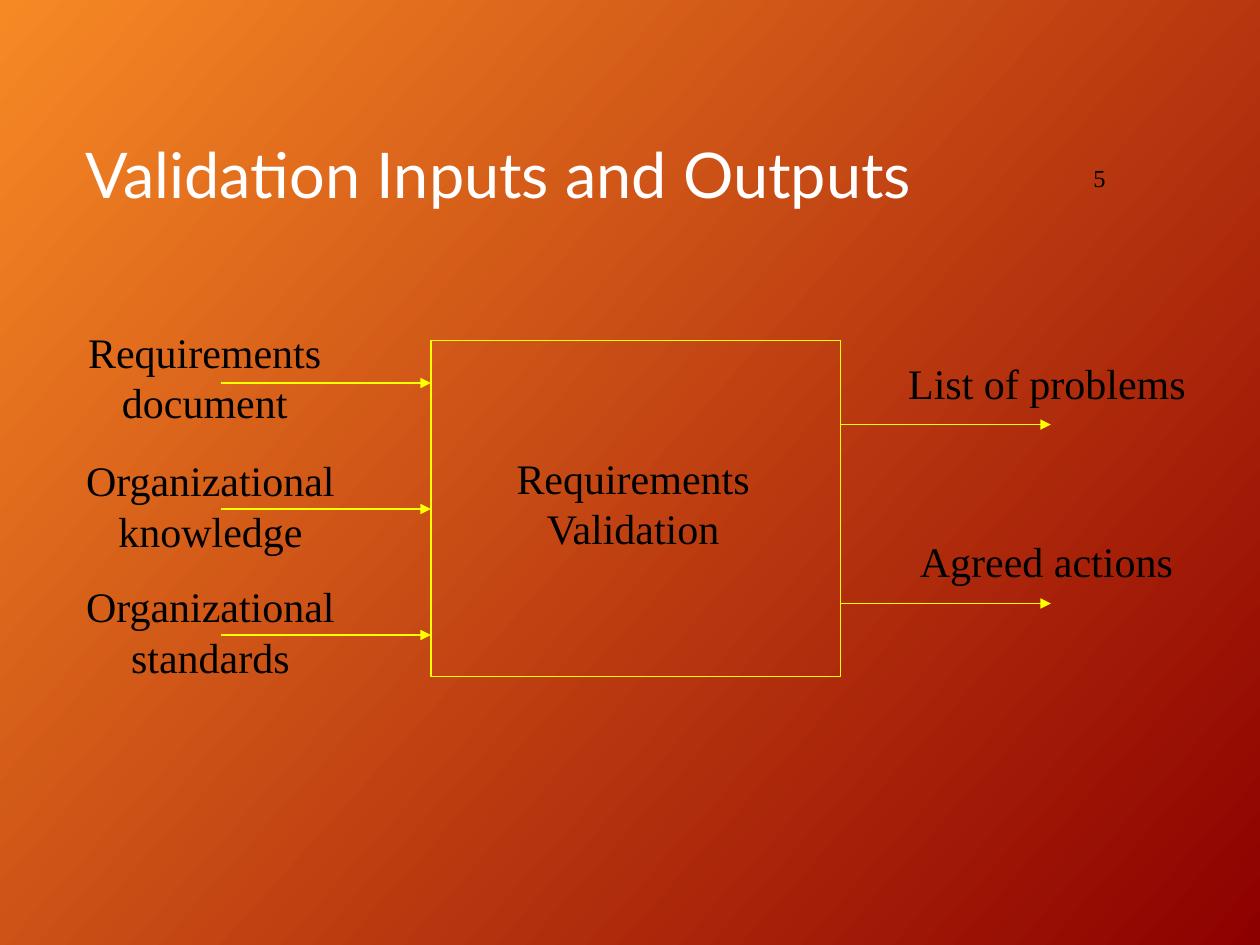
from pptx import Presentation
from pptx import util as u
from pptx.dml.color import RGBColor
from pptx.enum import shapes, text
from pptx.oxml.ns import qn
from lxml import etree

PX = u.Inches(1) // 100
ORANGE = RGBColor(0xF7, 0x89, 0x25)
DARK_RED = RGBColor(0x8D, 0x00, 0x00)
YELLOW = RGBColor(0xFF, 0xFF, 0x00)
WHITE = RGBColor(0xFF, 0xFF, 0xFF)
BLACK = RGBColor(0x00, 0x00, 0x00)
SERIF = "Times New Roman"
SANS = "Lato"
ARROW_LENGTH = 167
LABEL_LINE = 40
LABEL_PADDING = 10

# label, label left, label top relative to its arrow, label width, arrow height in the box
INPUTS = [
    ("Requirements\ndocument", 60, -50, 205, 34),
    ("Organizational\nknowledge", 58, -48, 218, 134),
    ("Organizational\nstandards", 58, -48, 218, 234),
]
OUTPUTS = [
    ("List of problems", 711, -58, 240, 67),
    ("Agreed actions", 720, -59, 221, 209),
]


def add_text(slide, box, content, *, font=SERIF, size=24, color=BLACK,
             align=text.PP_ALIGN.LEFT, anchor=text.MSO_ANCHOR.TOP,
             wrap=True, spacing=None):
    shape = slide.shapes.add_textbox(*(value * PX for value in box))
    frame = shape.text_frame
    frame.word_wrap = wrap
    frame.auto_size = (text.MSO_AUTO_SIZE.NONE if wrap
                       else text.MSO_AUTO_SIZE.SHAPE_TO_FIT_TEXT)
    frame.vertical_anchor = anchor
    frame.text = content
    for paragraph in frame.paragraphs:
        paragraph.alignment = align
        paragraph.line_spacing = spacing
        for run in paragraph.runs:
            run.font.name = font
            run.font.size = u.Pt(size)
            run.font.color.rgb = color


def add_label(slide, left, top, width, content):
    lines = content.count("\n") + 1
    box = (left, top, width, lines * LABEL_LINE + LABEL_PADDING)
    add_text(slide, box, content, align=text.PP_ALIGN.CENTER, wrap=False)


def add_arrow(slide, left, y):
    arrow = slide.shapes.add_connector(
        shapes.MSO_CONNECTOR.STRAIGHT,
        left * PX, y * PX, (left + ARROW_LENGTH) * PX, y * PX)
    arrow.line.color.rgb = YELLOW
    arrow.line.width = u.Pt(0.75)
    properties = arrow.element.spPr
    etree.SubElement(properties.find(qn("a:ln")), qn("a:tailEnd"), type="triangle")
    etree.SubElement(properties, qn("a:effectLst"))


def add_flows(slide, flows, arrow_left, box_top):
    for content, left, rise, width, offset in flows:
        y = box_top + offset
        add_arrow(slide, arrow_left, y)
        add_label(slide, left, y + rise, width, content)


def add_background(slide):
    fill = slide.background.fill
    fill.gradient()
    fill.gradient_angle = 360 - 42
    for stop, color in zip(fill.gradient_stops, (ORANGE, DARK_RED)):
        stop.color.rgb = color


def add_header(slide, left, top, width, height):
    """Title at the left and page number at the right."""
    middle = text.MSO_ANCHOR.MIDDLE
    add_text(slide, (left, top, 754, height), "Validation Inputs and Outputs",
             font=SANS, size=36, color=WHITE, anchor=middle, spacing=0.9)
    number_width = 127
    add_text(slide, (left + width - number_width, top, number_width, height),
             "5", size=14, anchor=middle)


def add_process(slide, left, top, width, height):
    """Process box with the flows that enter and leave it."""
    box = slide.shapes.add_shape(
        shapes.MSO_SHAPE.RECTANGLE, left * PX, top * PX, width * PX, height * PX)
    box.shadow.inherit = False
    box.fill.background()
    box.line.color.rgb = YELLOW
    box.line.width = u.Pt(0.75)
    add_label(slide, left + 58, top + 84, 205, "Requirements\nValidation")
    add_flows(slide, INPUTS, left - ARROW_LENGTH, top)
    add_flows(slide, OUTPUTS, left + width, top)


def main():
    presentation = Presentation()
    presentation.slide_width = 1000 * PX
    presentation.slide_height = 750 * PX
    slide = presentation.slides.add_slide(presentation.slide_layouts[6])
    add_background(slide)
    add_header(slide, 58, 82, 927, 118)
    add_process(slide, 342, 270, 325, 267)
    presentation.save("out.pptx")


if __name__ == "__main__":
    main()
